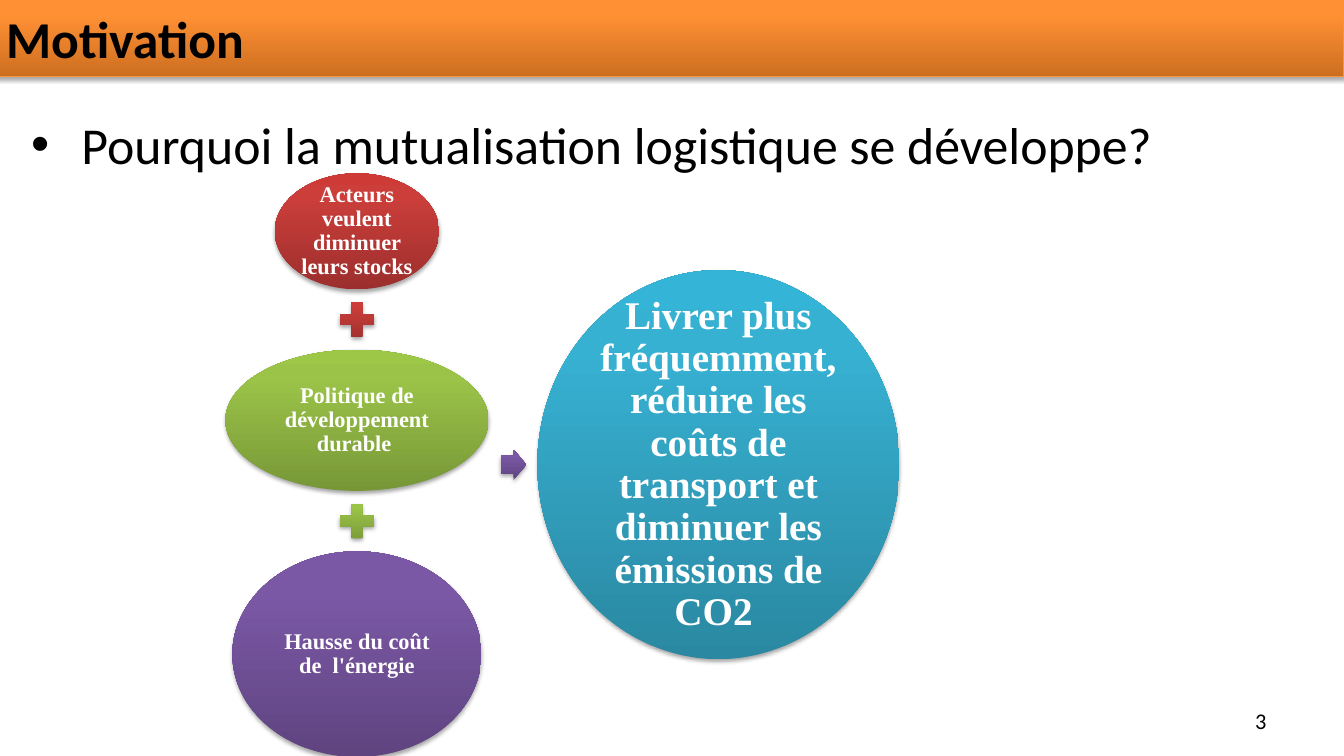
from copy import deepcopy

from lxml import etree
from pptx import Presentation, util as u
from pptx.dml.color import RGBColor
from pptx.enum import shapes, text
from pptx.oxml.ns import qn

COLORS = {
    "text": "000000",
    "light": "FFFFFF",
    "title_line": "F69240",
}
GRADIENTS = {
    "orange": ("CC6E20", "FF9034", "FF9136"),
    "red": ("9C2F2D", "CB3E3A", "CE3B37"),
    "green": ("779737", "9BC348", "9DC746"),
    "purple": ("5F4480", "7B58A6", "7C57A8"),
    "blue": ("2A88A2", "37B1D2", "34B4D6"),
}
SHAPE = shapes.MSO_SHAPE
ALIGN = text.PP_ALIGN


class SlideBuilder:
    body_font = "Calibri"
    diagram_font = "Times New Roman"

    def __init__(self, slide):
        self.s = slide

    def set_text(self, sp, words, size, font, color, bold=False, align=ALIGN.LEFT,
                 inset=(0.1, 0.05), anchor=text.MSO_ANCHOR.MIDDLE):
        tf = sp.text_frame
        tf.word_wrap = True
        tf.vertical_anchor = anchor
        tf.margin_left = tf.margin_right = u.Inches(inset[0])
        tf.margin_top = tf.margin_bottom = u.Inches(inset[1])
        p = tf.paragraphs[0]
        p.text = words
        p.alignment = align
        p.font.size = u.Pt(size)
        p.font.name = font
        p.font.bold = bold
        p.font.color.rgb = RGBColor.from_string(COLORS[color])
        return p

    def textbox(self, x, y, w, h, words, size, **style):
        sp = self.s.shapes.add_textbox(*map(u.Inches, (x, y, w, h)))
        return self.set_text(sp, words, size, self.body_font, "text", **style)

    def bullet(self, x, y, w, h, words, size):
        p = self.textbox(x, y, w, h, words, size, anchor=text.MSO_ANCHOR.TOP)
        pPr = p._p.get_or_add_pPr()
        pPr.set("marL", str(u.Inches(0.5)))
        pPr.set("indent", str(-u.Inches(0.5)))
        font = etree.Element(qn("a:buFont"), typeface="Arial")
        char = etree.Element(qn("a:buChar"), char="•")
        pPr.insert(0, font)
        font.addnext(char)

    def shape(self, kind, x, y, w, h, gradient):
        sp = self.s.shapes.add_shape(kind, *map(u.Inches, (x, y, w, h)))
        sp.line.fill.background()
        sp.fill.gradient()
        sp.fill.gradient_angle = 90
        stops = sp._element.spPr.find(qn("a:gradFill")).find(qn("a:gsLst"))
        stops.append(deepcopy(stops[-1]))
        for stop, position, color in zip(sp.fill.gradient_stops, (0, 0.8, 1), GRADIENTS[gradient]):
            stop.position = position
            stop.color.rgb = RGBColor.from_string(color)
        self.shadow(sp)
        return sp

    def shadow(self, sp):
        sp.shadow.inherit = False
        effects = sp._element.spPr.find(qn("a:effectLst"))
        outer = etree.SubElement(effects, qn("a:outerShdw"), blurRad=str(u.Pt(3.1)),
                                 dist=str(u.Pt(1.8)), dir="5400000", rotWithShape="0")
        color = etree.SubElement(outer, qn("a:srgbClr"), val=COLORS["text"])
        etree.SubElement(color, qn("a:alpha"), val="35000")

    def ellipse(self, x, y, w, h, gradient, words, size, inset):
        sp = self.shape(SHAPE.OVAL, x, y, w, h, gradient)
        p = self.set_text(sp, words, size, self.diagram_font, "light", bold=True,
                          align=ALIGN.CENTER, inset=(inset, inset))
        p.line_spacing = 0.9

    def title(self, words):
        sp = self.shape(SHAPE.RECTANGLE, -0.05, 0, 13.38, 0.76, "orange")
        sp.line.color.rgb = RGBColor.from_string(COLORS["title_line"])
        sp.line.width = u.Pt(0.75)
        self.set_text(sp, words, 36.9, self.body_font, "text", bold=True, inset=(0.11, 0.06))


def main():
    prs = Presentation()
    prs.slide_width, prs.slide_height = u.Inches(13.33), u.Inches(7.5)
    b = SlideBuilder(prs.slides.add_slide(prs.slide_layouts[6]))

    b.bullet(0.21, 1.07, 12.05, 1.29, "Pourquoi la mutualisation logistique se développe?", 37)

    causes = [
        (1.63, 1.15, "red", "Acteurs veulent diminuer leurs stocks"),
        (2.61, 1.4, "green", "Politique de développement durable "),
        (2.47, 2.04, "purple", "Hausse du coût de  l'énergie"),
    ]
    center, y, plus, gap = 3.54, 1.72, 0.46, 0.07
    for i, (w, h, gradient, words) in enumerate(causes):
        b.ellipse(center - w / 2, y, w, h, gradient, words, 16, 0.02)
        y += h + gap
        if i < len(causes) - 1:
            b.shape(SHAPE.MATH_PLUS, center - plus / 2, y, plus, plus, gradient)
            y += plus + gap

    arrow = b.shape(SHAPE.RIGHT_ARROW, 4.97, 4.46, 0.25, 0.3, "purple")
    arrow.adjustments[0] = 0.6
    b.ellipse(5.33, 2.68, 3.59, 3.86, "blue",
              "Livrer plus fréquemment, réduire les coûts de transport "
              "et diminuer les émissions de CO2 ", 28, 0.04)

    b.textbox(9.55, 6.95, 3.11, 0.4, "3", 16, align=ALIGN.RIGHT)
    b.title("Motivation")
    prs.save("out.pptx")


if __name__ == "__main__":
    main()
